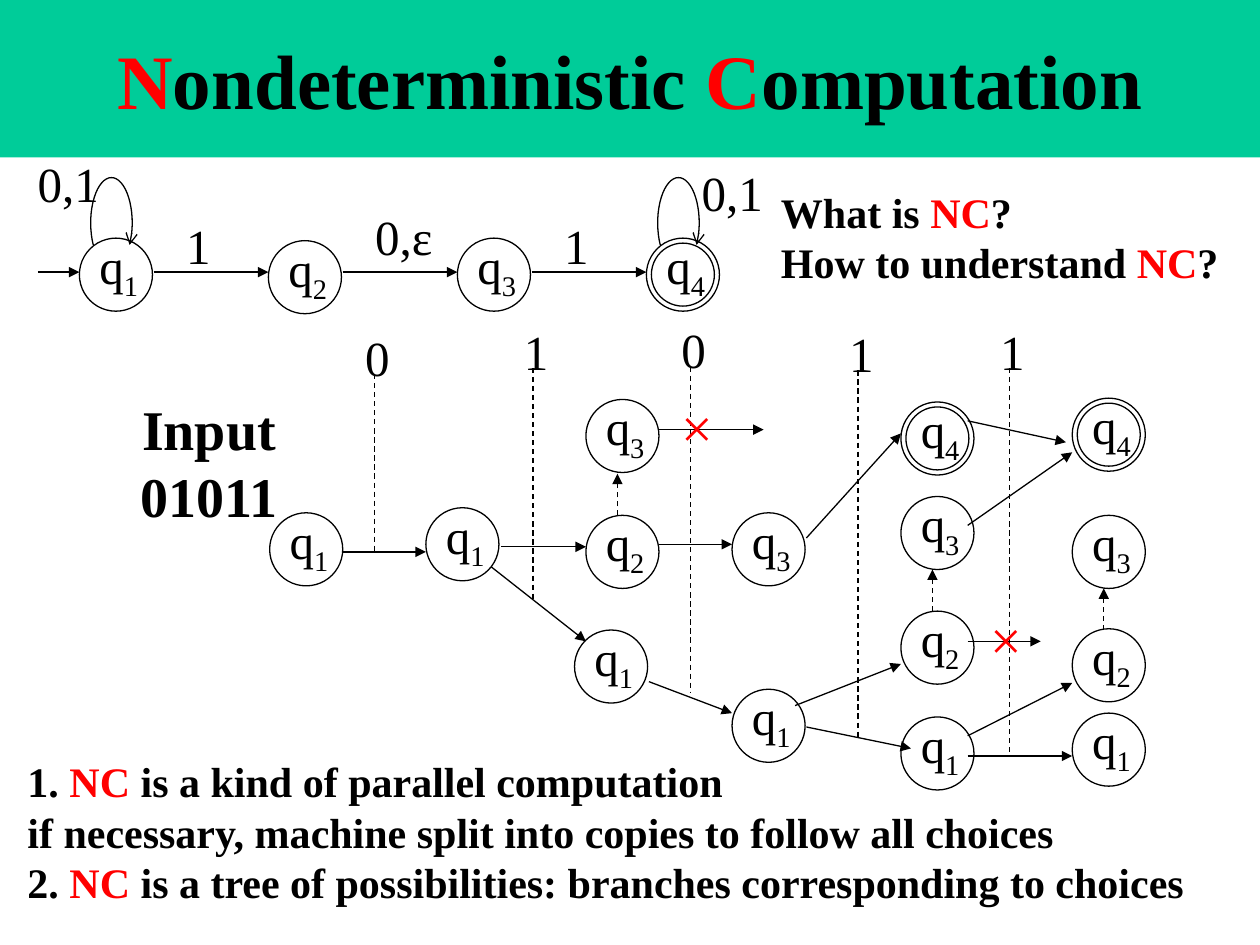
import math

import lxml.etree
import pptx
import pptx.dml.color
import pptx.enum.dml
import pptx.enum.shapes
import pptx.enum.text
import pptx.oxml.ns
import pptx.util
from pptx.util import Inches

BLACK = pptx.dml.color.RGBColor(0x00, 0x00, 0x00)
RED = pptx.dml.color.RGBColor(0xFF, 0x00, 0x00)
GREEN = pptx.dml.color.RGBColor(0x00, 0xCC, 0x99)
FONT = "Times New Roman"
STATE = 0.58
CENTER = pptx.enum.text.PP_ALIGN.CENTER


def add_run(p, text, size, bold=False, color=BLACK):
    r = p.add_run()
    r.text = text
    r.font.name = FONT
    r.font.size = pptx.util.Pt(size)
    r.font.bold = bold
    r.font.color.rgb = color
    return r


def write(tf, lines, size, bold=False, align=None):
    """Pieces between bars are red."""
    for i, line in enumerate(lines):
        p = tf.add_paragraph() if i else tf.paragraphs[0]
        p.alignment = align
        for j, piece in enumerate(line.split("|")):
            if piece:
                add_run(p, piece, size, bold, RED if j % 2 else BLACK)


def add_text(s, lines, x, y, w, h, size=28, bold=False, align=None):
    sp = s.shapes.add_textbox(Inches(x), Inches(y), Inches(w), Inches(h))
    tf = sp.text_frame
    tf.word_wrap = False
    tf.auto_size = pptx.enum.text.MSO_AUTO_SIZE.SHAPE_TO_FIT_TEXT
    write(tf, lines, size, bold, align)
    return tf


def set_outline(sp):
    sp.shadow.inherit = False
    sp.fill.background()
    sp.line.color.rgb = BLACK
    sp.line.width = pptx.util.Pt(0.75)


def add_head(sp, kind):
    ln = sp.line._get_or_add_ln()
    lxml.etree.SubElement(ln, pptx.oxml.ns.qn("a:tailEnd"), type=kind)


def add_circle(s, x, y, d):
    sp = s.shapes.add_shape(pptx.enum.shapes.MSO_SHAPE.OVAL,
                            Inches(x), Inches(y), Inches(d), Inches(d))
    set_outline(sp)


def add_state(s, number, x, y, accepting=False):
    add_circle(s, x, y, STATE)
    if accepting:
        add_circle(s, x + 0.04, y + 0.04, STATE - 0.08)
    tf = add_text(s, ["q"], x + 0.06, y - 0.07, 0.53, 0.57)
    r = add_run(tf.paragraphs[0], str(number), 28)
    r._r.get_or_add_rPr().set("baseline", "-25000")


def add_line(s, x1, y1, x2, y2, dashed=False, arrow=True):
    sp = s.shapes.add_connector(pptx.enum.shapes.MSO_CONNECTOR.STRAIGHT,
                                Inches(x1), Inches(y1), Inches(x2), Inches(y2))
    sp.line.color.rgb = BLACK
    sp.line.width = pptx.util.Pt(0.75)
    if dashed:
        sp.line.dash_style = pptx.enum.dml.MSO_LINE.DASH
    if arrow:
        add_head(sp, "triangle")
    lxml.etree.SubElement(sp._element.spPr, pptx.oxml.ns.qn("a:effectLst"))


def add_loop(s, cx, cy, rx=0.165, ry=0.36):
    angles = [math.radians(a) for a in range(151, 390, 7)]
    points = [(Inches(cx + rx * math.cos(a)), Inches(cy + ry * math.sin(a)))
              for a in angles]
    builder = s.shapes.build_freeform(*points[0])
    builder.add_line_segments(points[1:], close=False)
    sp = builder.convert_to_shape()
    set_outline(sp)
    add_head(sp, "arrow")


def add_title(s, x, y, w, h):
    sp = s.shapes.title
    sp.left, sp.top, sp.width, sp.height = (Inches(v) for v in (x, y, w, h))
    sp.fill.solid()
    sp.fill.fore_color.rgb = GREEN
    tf = sp.text_frame
    tf.vertical_anchor = pptx.enum.text.MSO_ANCHOR.MIDDLE
    write(tf, ["|N|ondeterministic |C|omputation"], 44, True, CENTER)


def add_machine(s, x, y):
    pitch = 1.5
    first = x + 0.33
    for i, drop in enumerate([0, 0.02, 0, 0]):
        left = first + i * pitch
        add_state(s, i + 1, left, y + 0.64 + drop, accepting=i == 3)
        start = left - pitch + STATE + 0.01 if i else x
        add_line(s, start, y + 0.91, left, y + 0.91)
    for i in (0, 3):
        add_loop(s, first + i * pitch + 0.255, y + 0.52)
    labels = [("0,1", -0.1, -0.08, 0.69), ("1", 1.08, 0.41, 0.4),
              ("0,ε", 2.58, 0.34, 0.66), ("1", 4.08, 0.41, 0.4),
              ("0,1", 5.17, -0.01, 0.69)]
    for text, dx, dy, w in labels:
        add_text(s, [text], x + dx, y + dy, w, 0.57)


def add_tree(s, x, y):
    states = [
        (1, 0.14, 1.57), (1, 1.38, 1.53),
        (3, 2.65, 0.67), (2, 2.65, 1.59), (1, 2.56, 2.5),
        (3, 3.81, 1.57), (1, 3.81, 2.97),
        (4, 5.15, 0.69), (3, 5.15, 1.44), (2, 5.15, 2.35), (1, 5.15, 3.19),
        (4, 6.51, 0.66), (3, 6.51, 1.59), (2, 6.51, 2.49), (1, 6.51, 3.16),
    ]
    moves = [
        (0.72, 1.88, 1.38, 1.88),
        (1.98, 1.84, 2.65, 1.84), (1.9, 2, 2.65, 2.59),
        (3.23, 0.91, 4.06, 0.91), (3.23, 1.82, 3.81, 1.82),
        (3.15, 2.91, 3.81, 3.16),
        (4.4, 1.77, 5.15, 0.94), (4.31, 3.1, 5.15, 2.77),
        (4.4, 3.27, 5.23, 3.44),
        (5.68, 0.84, 6.46, 1.01), (5.68, 1.67, 6.51, 1.09),
        (5.68, 2.59, 6.26, 2.59), (5.68, 3.34, 6.51, 2.92),
        (5.68, 3.5, 6.51, 3.5),
    ]
    empty_moves = [(2.9, 1.59), (5.4, 2.35), (6.76, 2.5)]
    symbols = [("0", 0.97, 0.47, 1.88), ("1", 2.23, 0.42, 2.25),
               ("0", 3.48, 0.41, 2.99), ("1", 4.81, 0.44, 3.35),
               ("1", 6.01, 0.42, 3.5)]
    dead_ends = [(3.31, 0.57), (5.76, 2.25)]

    for number, dx, dy in states:
        add_state(s, number, x + dx, y + dy, accepting=number == 4)
    for x1, y1, x2, y2 in moves:
        add_line(s, x + x1, y + y1, x + x2, y + y2)
    for dx, dy in empty_moves:
        add_line(s, x + dx, y + dy, x + dx, y + dy - 0.33, dashed=True)
    for symbol, dx, top, bottom in symbols:
        add_line(s, x + dx, y + top, x + dx, y + bottom, dashed=True, arrow=False)
        add_text(s, [symbol], x + dx - 0.17, y + top - 0.42, 0.4, 0.57)
    for dx, dy in dead_ends:
        add_text(s, ["|×"], x + dx, y + dy, 0.65, 0.63, size=32)


def main():
    prs = pptx.Presentation()
    prs.slide_width, prs.slide_height = Inches(10), Inches(7.5)
    s = prs.slides.add_slide(prs.slide_layouts[5])
    add_title(s, 0, 0, 10, 1.25)
    add_machine(s, 0.3, 1.25)
    add_text(s, ["Input", "01011"], 1.01, 3.08, 1.3, 1.18, 32, True, CENTER)
    add_tree(s, 2, 2.5)
    add_text(s, ["1. |NC| is a kind of parallel computation",
                 "if necessary, machine split into copies to follow all choices",
                 "2. |NC| is a tree of possibilities: branches corresponding to choices"],
             0.12, 5.95, 9.47, 1.31, 24, True)
    add_text(s, ["What is |NC|?", "How to understand |NC|?"],
             6.1, 1.43, 3.8, 0.91, 24, True)
    prs.save("out.pptx")


if __name__ == "__main__":
    main()
